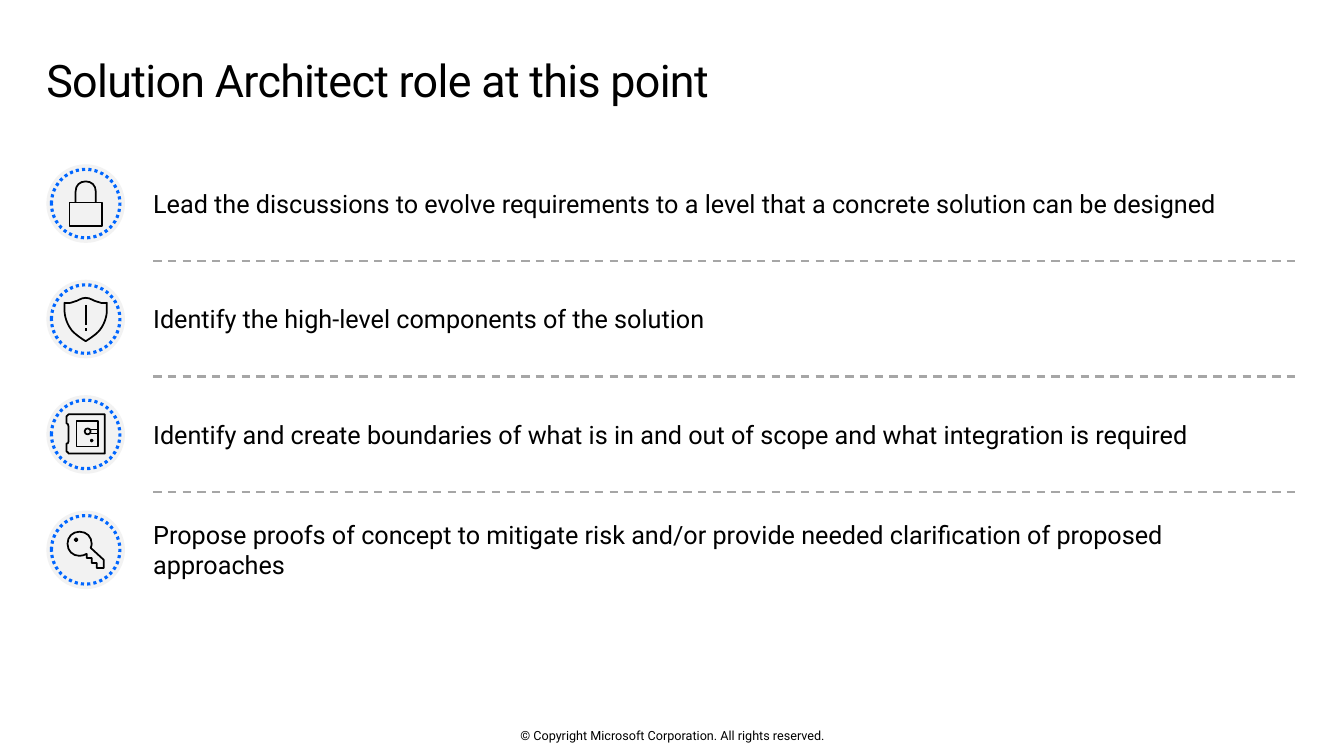
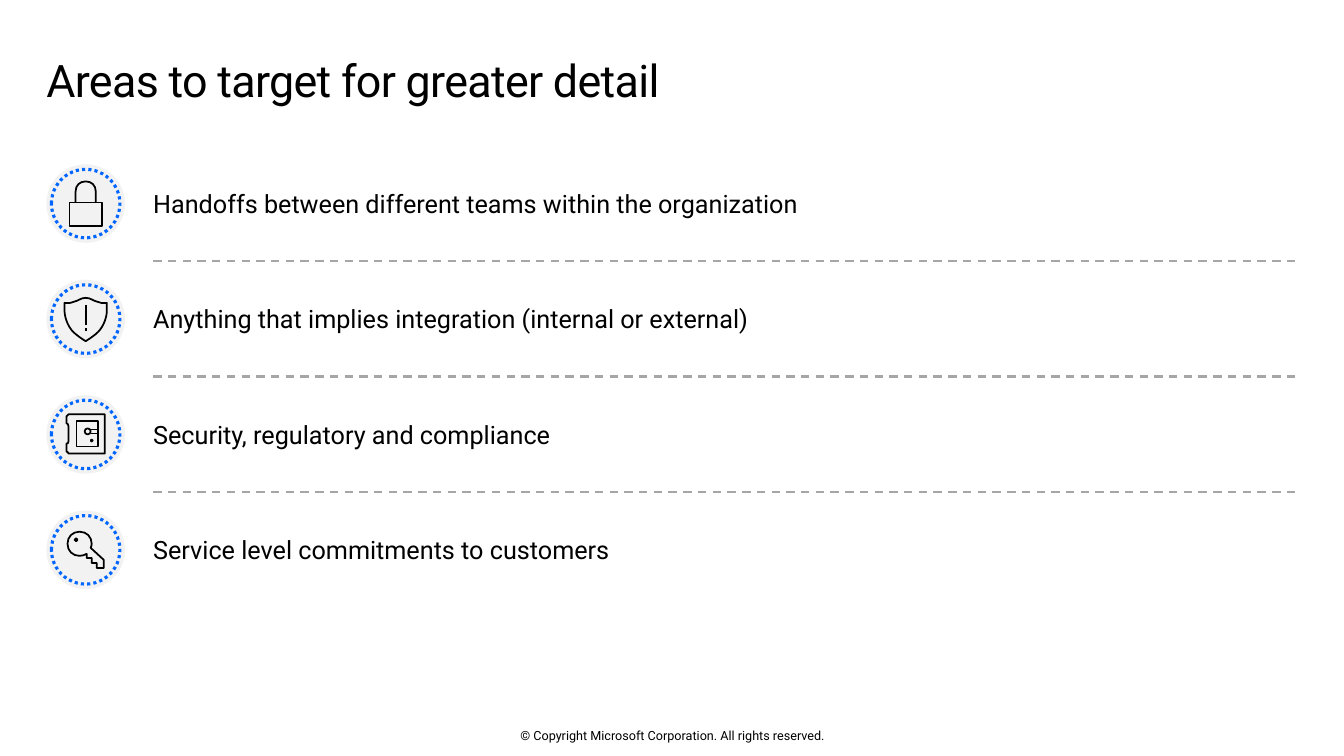
from lxml.etree import SubElement
from pptx import Presentation
from pptx.dml.color import RGBColor
from pptx.enum.dml import MSO_LINE
from pptx.enum.shapes import MSO_CONNECTOR, MSO_SHAPE
from pptx.enum.text import MSO_ANCHOR, MSO_AUTO_SIZE, PP_ALIGN
from pptx.oxml.ns import qn
from pptx.util import Inches, Pt

FONT = "Roboto"
COLORS = {"text": "000000", "badge": "F2F2F2", "ring": "0066FF", "divider": "A6A6A6"}
FOOTER = "© Copyright Microsoft Corporation. All rights reserved."

MARGIN = 0.46
RIGHT_EDGE = 12.86
TEXT_LEFT = 1.52
LIST_TOP = 1.59
ROW_STEP = 2.29 / 2
ROW_HEIGHT = 0.85
DIVIDER_OFFSET = 1
BADGE_OFFSET = 0.04
BADGE_SIZE = 0.78
RING_INSET = 0.05

SLIDES = [
    ("Solution Architect role at this point", [
        "Lead the discussions to evolve requirements to a level that a concrete solution can be designed",
        "Identify the high-level components of the solution",
        "Identify and create boundaries of what is in and out of scope and what integration is required",
        "Propose proofs of concept to mitigate risk and/or provide needed clarification of proposed approaches",
    ]),
    ("Areas to target for greater detail", [
        "Handoffs between different teams within the organization",
        "Anything that implies integration (internal or external)",
        "Security, regulatory and compliance",
        "Service level commitments to customers",
    ]),
]


def color(name):
    return RGBColor.from_string(COLORS[name])


def box(left, top, right, bottom):
    return [(left, top), (right, top), (right, bottom), (left, bottom)]


def circle_outline(x, y, radius):
    """A start point and four quarter curves."""
    handle = 0.55 * radius
    outline = [(x + radius, y)]
    for dx, dy in ((1, 0), (0, 1), (-1, 0), (0, -1)):
        outline.append((
            (x + radius * dx - handle * dy, y + radius * dy + handle * dx),
            (x - radius * dy + handle * dx, y + radius * dx + handle * dy),
            (x - radius * dy, y + radius * dx),
        ))
    return outline


# Each icon is a list of (segments, closed), in hundredths of an inch from the badge corner.
# A segment is the end point of a line, or the three control points of a curve.
LOCK = [
    (box(23, 38, 55, 61), True),
    ([(49, 38), (49, 27), ((49, 21), (45, 17), (39, 17)),
      ((33, 17), (29, 21), (29, 27)), (29, 38)], False),
]
SHIELD = [
    ([(25, 50), ((18, 41), (18, 31), (18, 31)), (18, 23),
      ((18, 23), (23, 24), (27, 22)), ((32, 21), (34, 18), (39, 18)),
      ((44, 18), (46, 21), (51, 22)), ((55, 24), (60, 23), (60, 23)), (60, 31),
      ((60, 31), (60, 41), (53, 50)), ((49, 55), (39, 61), (39, 61)),
      ((39, 61), (29, 55), (25, 50))], True),
    ([(39, 25), (39, 45)], False),
    ([(39, 48), (39, 51)], False),
]
SAFE = [
    ([(58, 19), (58, 58), (22, 58), ((22, 57), (21, 56), (20, 56)), (20, 48),
      ((21, 48), (22, 48), (22, 46)), (22, 31), ((22, 29), (21, 28), (20, 28)),
      (20, 21), ((21, 21), (22, 20), (22, 19))], True),
    (box(30, 26, 51, 51), True),
    (circle_outline(41, 36, 3), True),
    (circle_outline(45, 45, 1), True),
    ([(43, 34), (51, 34)], False),
    ([(44, 38), (51, 38)], False),
]
KEY = [
    ([(40, 43), ((38, 44), (36, 45), (33, 45)), ((26, 45), (21, 40), (21, 33)),
      ((21, 26), (26, 21), (33, 21)), ((40, 21), (45, 26), (45, 33)),
      ((45, 34), (45, 35), (44, 37)), (57, 49), (57, 57), (50, 57), (50, 52),
      (45, 52), (45, 47), (40, 47)], True),
    (circle_outline(29.5, 29, 1.5), True),
]
ICONS = [LOCK, SHIELD, SAFE, KEY]


def style_paragraph(paragraph, size, alignment=PP_ALIGN.LEFT):
    paragraph.alignment = alignment
    paragraph.font.name = FONT
    paragraph.font.size = Pt(size)
    paragraph.font.color.rgb = color("text")


def set_frame(frame, anchor, margins=(0, 0, 0, 0)):
    frame.word_wrap = True
    frame.auto_size = MSO_AUTO_SIZE.NONE
    frame.vertical_anchor = anchor
    (frame.margin_left, frame.margin_top,
     frame.margin_right, frame.margin_bottom) = map(Inches, margins)


def add_text(slide, text, left, top, width, height, size, alignment=PP_ALIGN.LEFT):
    shape = slide.shapes.add_textbox(*map(Inches, (left, top, width, height)))
    set_frame(shape.text_frame, MSO_ANCHOR.MIDDLE)
    paragraph = shape.text_frame.paragraphs[0]
    paragraph.text = text
    style_paragraph(paragraph, size, alignment)


def add_title(slide, text):
    title = slide.shapes.title
    title.left, title.top = Inches(MARGIN), Inches(0.48)
    title.width, title.height = Inches(RIGHT_EDGE - MARGIN), Inches(0.74)
    set_frame(title.text_frame, MSO_ANCHOR.TOP, (0, 0.1, 0.16, 0.1))
    paragraph = title.text_frame.paragraphs[0]
    paragraph.text = text
    paragraph.line_spacing = 0.9
    style_paragraph(paragraph, 32)
    paragraph.runs[0].font._element.set("spc", "-50")


def add_divider(slide, left, right, y):
    line = slide.shapes.add_connector(
        MSO_CONNECTOR.STRAIGHT, Inches(left), Inches(y), Inches(right), Inches(y))
    line.line.color.rgb = color("divider")
    line.line.width = Pt(1.5)
    line.line.dash_style = MSO_LINE.DASH
    SubElement(line._element.spPr, qn("a:effectLst"))


def add_circle(shapes, left, top, size):
    circle = shapes.add_shape(MSO_SHAPE.OVAL, *map(Inches, (left, top, size, size)))
    circle.shadow.inherit = False
    return circle


def is_curve(segment):
    return isinstance(segment[0], tuple)


def bend_curves(shape, segments):
    """Merge the three line steps of each curve segment into one Bezier."""
    steps = iter(list(shape._element.iter(qn("a:lnTo"))))
    for segment in segments:
        step = next(steps)
        if is_curve(segment):
            step.tag = qn("a:cubicBezTo")
            for extra in (next(steps), next(steps)):
                step.append(extra[0])
                extra.getparent().remove(extra)


def add_icon(shapes, icon, left, top):
    builder = None
    for (start, *segments), closed in icon:
        points = [point for segment in segments
                  for point in (segment if is_curve(segment) else [segment])]
        first, *rest = [(Inches(x / 100), Inches(y / 100)) for x, y in [start, *points]]
        if builder is None:
            builder = shapes.build_freeform(*first)
        else:
            builder.move_to(*first)
        builder.add_line_segments(rest, close=closed)
    shape = builder.convert_to_shape(Inches(left), Inches(top))
    bend_curves(shape, [segment for outline, _ in icon for segment in outline[1:]])
    shape.shadow.inherit = False
    shape.fill.background()
    shape.line.color.rgb = color("text")
    shape.line.width = Pt(1.25)


def add_badge(slide, icon, left, top):
    """Group a grey disc, a dotted ring and a line icon."""
    shapes = slide.shapes.add_group_shape().shapes
    disc = add_circle(shapes, left, top, BADGE_SIZE)
    disc.fill.solid()
    disc.fill.fore_color.rgb = color("badge")
    disc.line.fill.background()
    ring = add_circle(shapes, left + RING_INSET, top + RING_INSET,
                      BADGE_SIZE - 2 * RING_INSET)
    ring.fill.background()
    ring.line.color.rgb = color("ring")
    ring.line.width = Pt(2.25)
    ring.line.dash_style = MSO_LINE.ROUND_DOT
    add_icon(shapes, icon, left, top)


def add_row(slide, text, icon, top):
    add_text(slide, text, TEXT_LEFT, top, 11.36, ROW_HEIGHT, 18)
    add_badge(slide, icon, MARGIN, top + BADGE_OFFSET)


def add_list_slide(presentation, title, items):
    slide = presentation.slides.add_slide(presentation.slide_layouts[5])
    add_title(slide, title)
    for index, (text, icon) in enumerate(zip(items, ICONS)):
        top = LIST_TOP + index * ROW_STEP
        add_row(slide, text, icon, top)
        if index < len(items) - 1:
            add_divider(slide, TEXT_LEFT, RIGHT_EDGE, top + DIVIDER_OFFSET)
    add_text(slide, FOOTER, 4.42, 7.22, 4.5, 0.15, 9, PP_ALIGN.CENTER)


def main():
    presentation = Presentation()
    presentation.slide_width = Inches(40 / 3)
    presentation.slide_height = Inches(7.5)
    for title, items in SLIDES:
        add_list_slide(presentation, title, items)
    presentation.save("out.pptx")


if __name__ == "__main__":
    main()
